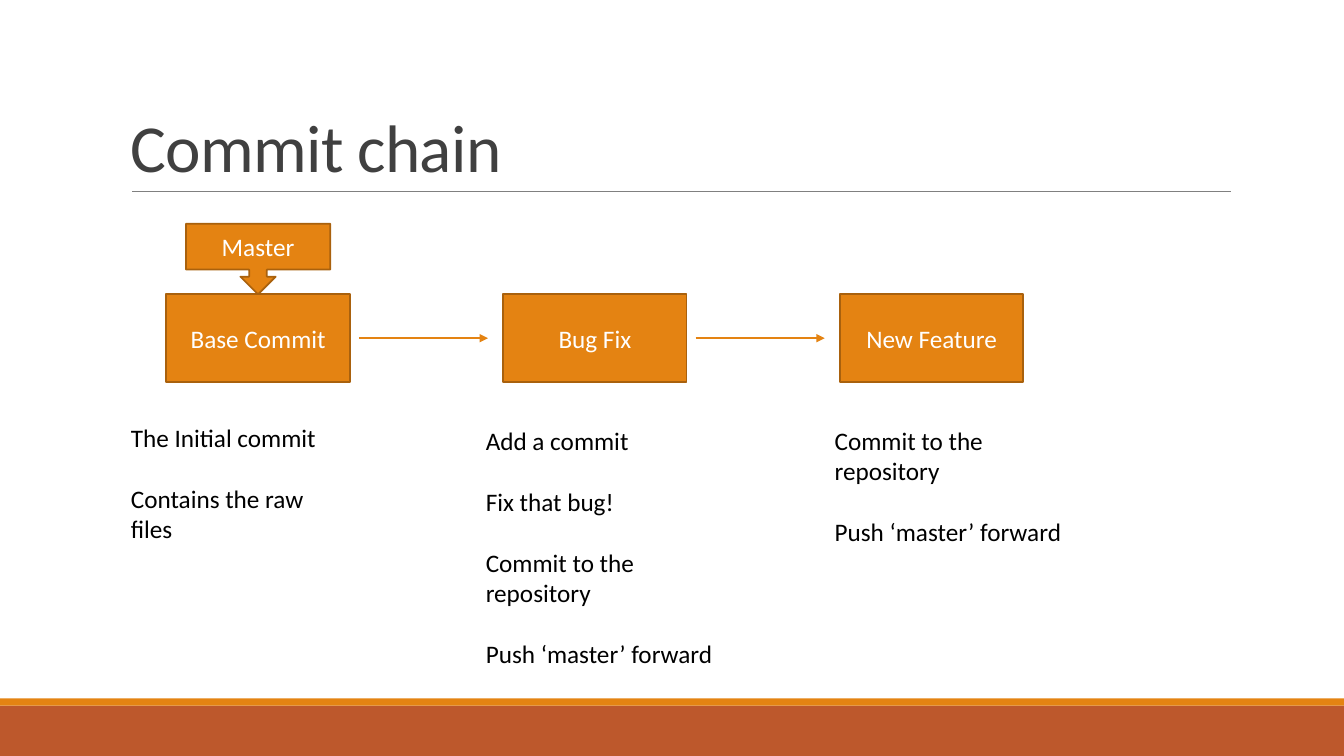
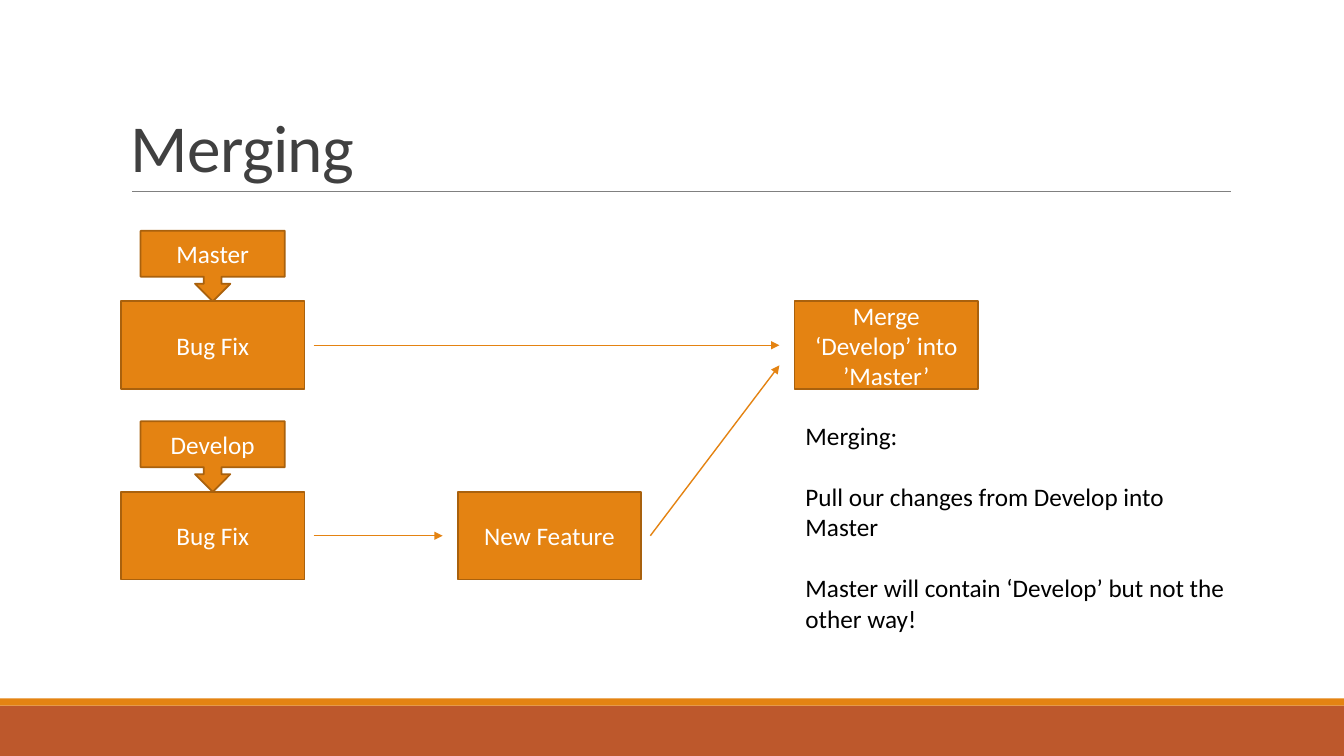
from dataclasses import dataclass

from lxml.etree import SubElement
from pptx import Presentation
from pptx.dml.color import RGBColor as RGB
from pptx.enum.shapes import MSO_CONNECTOR as Connector, MSO_SHAPE as Shape
from pptx.enum.text import MSO_ANCHOR as Anchor, PP_ALIGN as Align
from pptx.oxml.ns import qn
from pptx.util import Inches, Pt


@dataclass(frozen=True)
class Theme:
    font: str = "Calibri"
    title_size: int = 48
    body_size: int = 18
    paragraph_gap: int = 22
    title: RGB = RGB.from_string("404040")
    body: RGB = RGB.from_string("000000")
    on_accent: RGB = RGB.from_string("FFFFFF")
    accent: RGB = RGB.from_string("E48312")
    outline: RGB = RGB.from_string("A9610D")
    footer: RGB = RGB.from_string("BD582C")
    rule: RGB = RGB.from_string("808080")


THEME = Theme()
WIDTH, HEIGHT = 13.33, 7.5
TITLE_BOX = (1.2, 0.31, 11, 1.59)
RULE_LEFT, RULE_RIGHT, RULE_Y = 1.31, 12.21, 1.9
FOOTER_HEIGHT, STRIPE_HEIGHT = 0.5, 0.07
NODE_W, NODE_H = 1.82, 0.87
BRANCH_W, BRANCH_H = 1.43, 0.7
COLUMN_PITCH, ROW_PITCH = 3.34, 1.89
GAP_AFTER_NODE, GAP_BEFORE_NODE = 0.09, 0.15

# Commits and branches sit on (column, row) cells; links join two cells,
# with an optional drop of the arrowhead below the target's middle.
SLIDES = [
    {
        "title": "Commit chain",
        "origin": (1.65, 2.92),
        "commits": {(0, 0): "Base Commit", (1, 0): "Bug Fix", (2, 0): "New Feature"},
        "branches": {(0, 0): "Master"},
        "links": [((0, 0), (1, 0), 0), ((1, 0), (2, 0), 0)],
        "notes": [
            ((1.2, 4.14, 2.36, 1.31), ["The Initial commit", "Contains the raw files"]),
            ((4.72, 4.17, 2.54, 2.52), ["Add a commit", "Fix that bug!",
                                        "Commit to the repository",
                                        "Push ‘master’ forward"]),
            ((8.18, 4.17, 2.54, 1.31), ["Commit to the repository",
                                        "Push ‘master’ forward"]),
        ],
    },
    {
        "title": "Merging",
        "origin": (1.2, 2.99),
        "commits": {(0, 0): "Bug Fix", (2, 0): "Merge ‘Develop’ into ’Master’",
                    (0, 1): "Bug Fix", (1, 1): "New Feature"},
        "branches": {(0, 0): "Master", (0, 1): "Develop"},
        "links": [((0, 0), (2, 0), 0), ((0, 1), (1, 1), 0), ((1, 1), (2, 0), 0.2)],
        "notes": [
            ((7.89, 4.12, 4.41, 2.22), ["Merging:",
                                        "Pull our changes from Develop into Master",
                                        "Master will contain ‘Develop’ but not the other way!"]),
        ],
    },
]


def add_text(paragraph, text, size, color):
    run = paragraph.add_run()
    run.text = text
    run.font.name = THEME.font
    run.font.size = Pt(size)
    run.font.color.rgb = color
    return run


def add_block(slide, preset, box, fill, outline=None, label=None):
    block = slide.shapes.add_shape(preset, *map(Inches, box))
    block.shadow.inherit = False
    block.fill.solid()
    block.fill.fore_color.rgb = fill
    if outline is None:
        block.line.fill.background()
    else:
        block.line.color.rgb = outline
        block.line.width = Pt(1.25)
    if label:
        frame = block.text_frame
        frame.word_wrap = True
        frame.vertical_anchor = Anchor.MIDDLE
        paragraph = frame.paragraphs[0]
        paragraph.alignment = Align.CENTER
        add_text(paragraph, label, THEME.body_size, THEME.on_accent)


def add_line(slide, start, end, color, width, arrow=False):
    line = slide.shapes.add_connector(
        Connector.STRAIGHT, *map(Inches, (*start, *end)))
    line.line.color.rgb = color
    line.line.width = Pt(width)
    properties = line._element.spPr
    if arrow:
        SubElement(properties.get_or_add_ln(), qn("a:tailEnd"), type="triangle")
    SubElement(properties, qn("a:effectLst"))


def add_frame(slide, box):
    frame = slide.shapes.add_textbox(*map(Inches, box)).text_frame
    frame.word_wrap = True
    return frame


def add_base(slide, title):
    """Draw the footer bands, the title and the rule below it."""
    footer_top = HEIGHT - FOOTER_HEIGHT
    add_block(slide, Shape.RECTANGLE, (0, footer_top, WIDTH, FOOTER_HEIGHT), THEME.footer)
    add_block(slide, Shape.RECTANGLE,
              (0, footer_top - STRIPE_HEIGHT, WIDTH, STRIPE_HEIGHT), THEME.accent)
    add_line(slide, (RULE_LEFT, RULE_Y), (RULE_RIGHT, RULE_Y), THEME.rule, 0.5)
    frame = add_frame(slide, TITLE_BOX)
    frame.vertical_anchor = Anchor.BOTTOM
    heading = frame.paragraphs[0]
    heading.line_spacing = 0.85
    run = add_text(heading, title, THEME.title_size, THEME.title)
    run.font._element.set("spc", "-50")


def add_notes(slide, box, lines):
    frame = add_frame(slide, box)
    for index, line in enumerate(lines):
        paragraph = frame.add_paragraph() if index else frame.paragraphs[0]
        if index:
            paragraph.space_before = Pt(THEME.paragraph_gap)
        add_text(paragraph, line, THEME.body_size, THEME.body)


def add_graph(slide, origin, commits, branches, links):
    def corner(cell):
        column, row = cell
        return origin[0] + column * COLUMN_PITCH, origin[1] + row * ROW_PITCH

    for cell, label in commits.items():
        add_block(slide, Shape.RECTANGLE, (*corner(cell), NODE_W, NODE_H),
                  THEME.accent, THEME.outline, label)
    for cell, label in branches.items():
        left, top = corner(cell)
        add_block(slide, Shape.DOWN_ARROW_CALLOUT,
                  (left + (NODE_W - BRANCH_W) / 2, top - BRANCH_H, BRANCH_W, BRANCH_H),
                  THEME.accent, THEME.outline, label)
    for source, target, drop in links:
        (x1, y1), (x2, y2) = corner(source), corner(target)
        add_line(slide, (x1 + NODE_W + GAP_AFTER_NODE, y1 + NODE_H / 2),
                 (x2 - GAP_BEFORE_NODE, y2 + NODE_H / 2 + drop),
                 THEME.accent, 1, arrow=True)


def main():
    deck = Presentation()
    deck.slide_width, deck.slide_height = Inches(WIDTH), Inches(HEIGHT)
    for content in SLIDES:
        slide = deck.slides.add_slide(deck.slide_layouts[6])
        add_base(slide, content["title"])
        add_graph(slide, content["origin"], content["commits"],
                  content["branches"], content["links"])
        for box, lines in content["notes"]:
            add_notes(slide, box, lines)
    deck.save("out.pptx")


if __name__ == "__main__":
    main()
